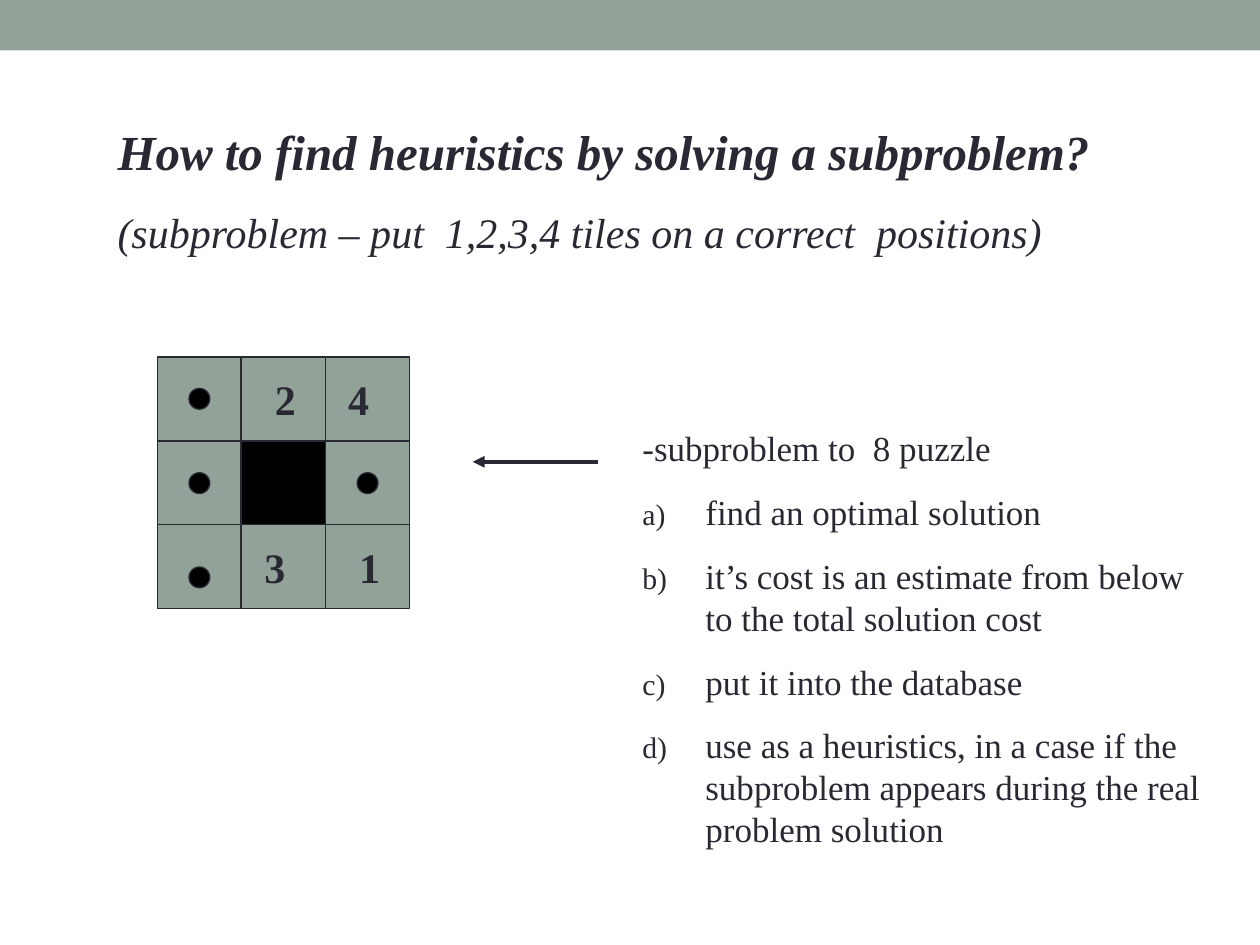
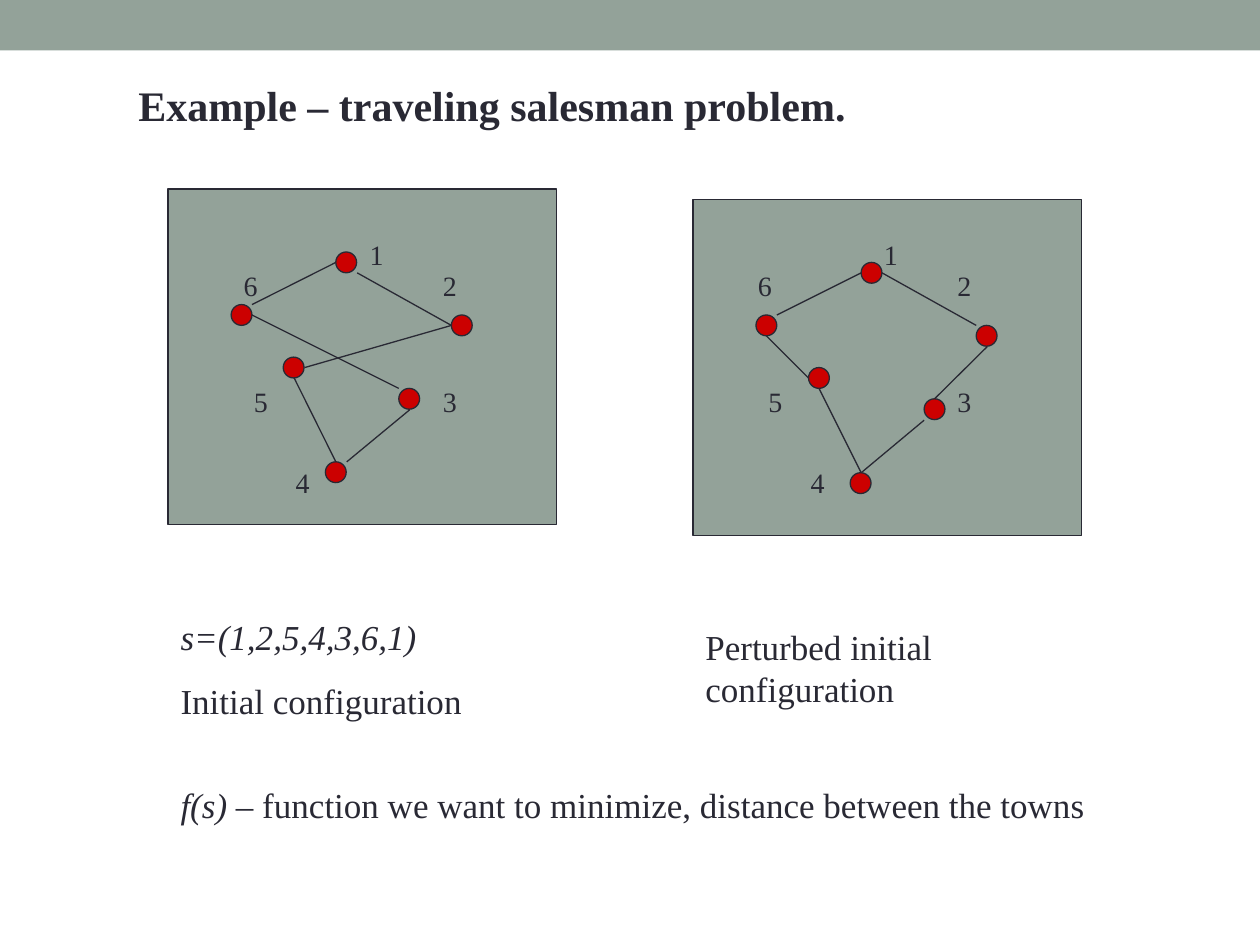
from lxml.etree import SubElement
from pptx import Presentation
from pptx.dml.color import RGBColor
from pptx.enum.shapes import MSO_CONNECTOR, MSO_SHAPE
from pptx.enum.text import MSO_AUTO_SIZE
from pptx.oxml.ns import qn
from pptx.util import Cm, Pt

SAGE = RGBColor(0x93, 0xA2, 0x99)
INK = RGBColor(0x29, 0x29, 0x34)
BLACK = RGBColor(0x00, 0x00, 0x00)
RED = RGBColor(0xCC, 0x00, 0x00)
FONT = "Times New Roman"
GRID_CM = 2.54 / 12
DOT = 2
TILE = 8

BOARD = [["dot", "2", "4"], ["dot", "hole", "dot"], ["dot", "3", "1"]]
PIECE_OFFSETS = {"1": (2, 1), "2": (2, 1), "3": (1, 1), "4": (1, 1)}
STEPS = [
    "find an optimal solution",
    "it’s cost is an estimate from below to the total solution cost",
    "put it into the database",
    "use as a heuristics, in a case if the subproblem appears during the real problem solution",
]

TOWNS = {"1": (16, 6), "6": (6, 11), "2": (27, 12), "5": (11, 16), "3": (22, 19), "4": (15, 26)}
TOWN_LABELS = {"1": (18, 4), "2": (25, 7), "3": (25, 18), "4": (11, 25.8), "5": (7, 18), "6": (6, 7)}
SIDES = {"nw": (0, 0), "n": (1, 0), "ne": (2, 0), "w": (0, 1), "e": (2, 1),
         "sw": (0, 2), "s": (1, 2), "se": (2, 2)}
INITIAL_TOUR = [("1", "se", "2", "w"), ("2", "w", "5", "e"), ("5", "s", "4", "n"),
                ("4", "ne", "3", "s"), ("3", "nw", "6", "e"), ("6", "ne", "1", "w")]
PERTURBED_TOUR = [("1", "e", "2", "nw"), ("5", "s", "4", "n"), ("4", "n", "3", "sw"),
                  ("6", "ne", "1", "w"), ("6", "s", "5", "w"), ("2", "s", "3", "n")]


def grid(*steps):
    return [Cm(round(step * GRID_CM, 2)) for step in steps]


def draw_shape(shapes, preset, box, fill, outlined=True):
    figure = shapes.add_shape(preset, *grid(*box))
    figure.shadow.inherit = False
    figure.fill.solid()
    figure.fill.fore_color.rgb = fill
    if outlined:
        figure.line.color.rgb = INK
        figure.line.width = Pt(0.75)
    else:
        figure.line.fill.background()


def draw_line(shapes, start, end, width=0.75, arrow=False):
    link = shapes.add_connector(MSO_CONNECTOR.STRAIGHT, *grid(*start, *end))
    link.line.color.rgb = INK
    link.line.width = Pt(width)
    if arrow:
        SubElement(link.line._get_or_add_ln(), qn("a:tailEnd"), type="triangle")
    SubElement(link._element.spPr, qn("a:effectLst"))


def add_runs(paragraph, runs, size):
    for words, style in runs:
        run = paragraph.add_run()
        run.text = words
        run.font.name = FONT
        run.font.size = Pt(size)
        run.font.color.rgb = INK
        run.font.bold = "b" in style
        run.font.italic = "i" in style


def write(shapes, box, paragraphs):
    frame = shapes.add_textbox(*grid(*box)).text_frame
    frame.word_wrap = True
    frame.auto_size = MSO_AUTO_SIZE.SHAPE_TO_FIT_TEXT
    for index, (size, *runs) in enumerate(paragraphs):
        paragraph = frame.add_paragraph() if index else frame.paragraphs[0]
        if index:
            paragraph.space_before = Pt(size * 0.625)
        add_runs(paragraph, runs, size)
    return frame


def letter_steps(paragraphs):
    for index, paragraph in enumerate(paragraphs):
        properties = paragraph._p.get_or_add_pPr()
        properties.set("marL", str(Cm(1.27)))
        properties.set("indent", str(Cm(-1.27)))
        if index:
            SubElement(properties, qn("a:buSzPct"), val="85000")
            SubElement(properties, qn("a:buFont"), typeface=FONT)
            SubElement(properties, qn("a:buAutoNum"), type="alphaLcParenR")


def draw_board(slide, left, top):
    shapes = slide.shapes.add_group_shape().shapes
    cells = [(left + column * TILE, top + row * TILE, piece)
             for row, pieces in enumerate(BOARD) for column, piece in enumerate(pieces)]
    for x, y, piece in cells:
        draw_shape(shapes, MSO_SHAPE.RECTANGLE, (x, y, TILE, TILE),
                   BLACK if piece == "hole" else SAGE)
    for x, y, piece in cells:
        if piece == "dot":
            drop = 4 if y == top + 2 * TILE else 3
            draw_shape(shapes, MSO_SHAPE.OVAL, (x + 3, y + drop, DOT, DOT), BLACK)
        elif piece != "hole":
            dx, dy = PIECE_OFFSETS[piece]
            write(shapes, (x + dx, y + dy, 5, 6), [(24, (piece, "b"))])


def draw_tour(slide, left, top, tour, label_shift=0):
    shapes = slide.shapes.add_group_shape().shapes
    draw_shape(shapes, MSO_SHAPE.RECTANGLE, (left, top, 37, 32), SAGE)
    for x, y in TOWNS.values():
        draw_shape(shapes, MSO_SHAPE.OVAL, (left + x, top + y, DOT, DOT), RED)
    for town, (x, y) in TOWN_LABELS.items():
        write(shapes, (left + x + label_shift, top + y + label_shift, 4, 4.4), [(16, (town, ""))])

    def road_end(town, side):
        (x, y), (dx, dy) = TOWNS[town], SIDES[side]
        return left + x + dx, top + y + dy

    for origin, exit_side, target, entry_side in tour:
        draw_line(shapes, road_end(origin, exit_side), road_end(target, entry_side))


def start_slide(deck):
    slide = deck.slides.add_slide(deck.slide_layouts[6])
    draw_shape(slide.shapes, MSO_SHAPE.RECTANGLE, (0, 0, 120, 4.8), SAGE, outlined=False)
    return slide


def build_subproblem_slide(deck):
    slide = start_slide(deck)
    write(slide.shapes, (10, 11, 107, 14.2), [
        (28, ("How to find heuristics by solving a subproblem?", "bi")),
        (24, ("(subproblem – put  1,2,3,4 tiles on a correct  positions)", "i")),
    ])
    draw_board(slide, 15, 34)
    draw_line(slide.shapes, (57, 44), (45, 44), width=2.25, arrow=True)
    explanation = write(slide.shapes, (60, 40, 57, 41.5), [
        (20, (words, "")) for words in ["-subproblem to  8 puzzle", *STEPS]])
    letter_steps(explanation.paragraphs)


def build_salesman_slide(deck):
    slide = start_slide(deck)
    write(slide.shapes, (12, 7, 108, 6), [(24, ("Example – traveling salesman problem.", "b"))])
    draw_tour(slide, 16, 18, INITIAL_TOUR)
    write(slide.shapes, (16, 58, 35, 11.3), [
        (20, ("s=(1,2,5,4,3,6,1)", "i")),
        (20, ("Initial configuration", "")),
    ])
    draw_tour(slide, 66, 19, PERTURBED_TOUR, label_shift=-1)
    write(slide.shapes, (66, 59, 37, 9.2), [(20, ("Perturbed initial configuration", ""))])
    write(slide.shapes, (16, 74, 100.7, 5.3), [
        (20, ("f(s)", "i"), (" – function we want to minimize, distance between the towns", "")),
    ])


def main():
    deck = Presentation()
    deck.slide_width, deck.slide_height = Cm(25.4), Cm(19.05)
    build_subproblem_slide(deck)
    build_salesman_slide(deck)
    deck.save("out.pptx")


if __name__ == "__main__":
    main()
